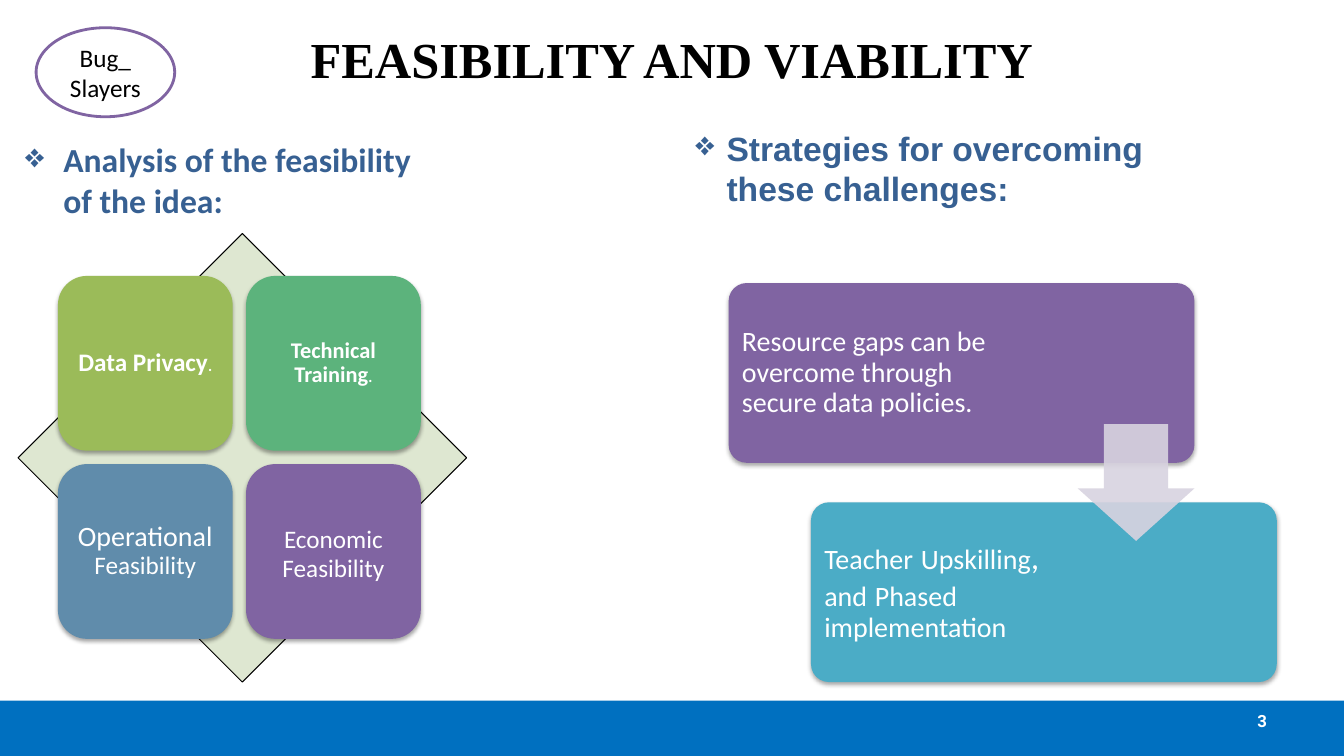
from dataclasses import dataclass

from lxml import etree
from pptx import Presentation
from pptx.dml.color import RGBColor
from pptx.enum.shapes import MSO_SHAPE
from pptx.enum.text import MSO_ANCHOR, MSO_AUTO_SIZE, PP_ALIGN
from pptx.oxml.ns import qn
from pptx.util import Inches, Pt

RECTANGLE, ROUNDED = MSO_SHAPE.RECTANGLE, MSO_SHAPE.ROUNDED_RECTANGLE
OVAL, DIAMOND, DOWN_ARROW = MSO_SHAPE.OVAL, MSO_SHAPE.DIAMOND, MSO_SHAPE.DOWN_ARROW
LEFT, CENTER, RIGHT = PP_ALIGN.LEFT, PP_ALIGN.CENTER, PP_ALIGN.RIGHT
TOP, MIDDLE = MSO_ANCHOR.TOP, MSO_ANCHOR.MIDDLE
GROW = MSO_AUTO_SIZE.SHAPE_TO_FIT_TEXT

COLUMNS, ROWS = 160, 90


@dataclass(frozen=True)
class Theme:
    white: str = "FFFFFF"
    black: str = "000000"
    gray: str = "808080"
    footer: str = "0070C0"
    heading: str = "376092"
    purple: str = "8064A2"
    olive: str = "9BBB59"
    green: str = "5CB37C"
    steel: str = "608CAB"
    teal: str = "4BACC6"
    diamond: str = "DEE7D1"
    arrow: str = "D8D3E0"
    body_font: str = "Calibri"
    title_font: str = "Times New Roman"
    heading_font: str = "Arial"
    number_font: str = "Roboto"
    title_size: float = 36
    heading_size: float = 24
    card_size: float = 20
    label_size: float = 18
    small_label_size: float = 16
    number_size: float = 12
    period_size: float = 11


def apply_formats(target, formats):
    for name, value in formats.items():
        setattr(target, name, value)


class SlideBuilder:
    """Draws elements on one slide; positions are (column, row, columns, rows)."""

    def __init__(self, presentation, theme):
        self.theme = theme
        self.cell_width = presentation.slide_width / COLUMNS
        self.cell_height = presentation.slide_height / ROWS
        self.slide = presentation.slides.add_slide(presentation.slide_layouts[6])

    def place(self, position):
        column, row, columns, rows = position
        return (round(column * self.cell_width), round(row * self.cell_height),
                round(columns * self.cell_width), round(rows * self.cell_height))

    def shape(self, kind, position, fill, line=None, adjustments=(), alpha=None):
        """Add a preset shape; line is (colour, points) and alpha a percentage."""
        shape = self.slide.shapes.add_shape(kind, *self.place(position))
        shape.shadow.inherit = False
        shape.fill.solid()
        shape.fill.fore_color.rgb = RGBColor.from_string(fill)
        if alpha is not None:
            colour = shape._element.spPr.find(".//" + qn("a:srgbClr"))
            etree.SubElement(colour, qn("a:alpha"), val=str(alpha * 1000))
        if line:
            shape.line.color.rgb = RGBColor.from_string(line[0])
            shape.line.width = Pt(line[1])
        else:
            shape.line.fill.background()
        for index, value in enumerate(adjustments):
            shape.adjustments[index] = value
        return shape

    def shadow(self, shape, colour, blur):
        """Cast a soft shadow straight down."""
        effects = shape._element.spPr.find(qn("a:effectLst"))
        outer = etree.SubElement(effects, qn("a:outerShdw"), blurRad=str(Pt(blur)),
                                 dist=str(Pt(1.8)), dir="5400000", rotWithShape="0")
        tint = etree.SubElement(outer, qn("a:srgbClr"), val=colour)
        etree.SubElement(tint, qn("a:alpha"), val="35000")

    def fill_text(self, shape, runs, colour, font, bold=False, alignment=CENTER,
                  spacing=1.0, frame_formats=None):
        """Fill a shape with one paragraph of (text, size) runs."""
        frame = shape.text_frame
        apply_formats(frame, {"word_wrap": True, "vertical_anchor": MIDDLE,
                              **(frame_formats or {})})
        paragraph = frame.paragraphs[0]
        apply_formats(paragraph, {"alignment": alignment, "line_spacing": spacing})
        for text, size in runs:
            run = paragraph.add_run()
            run.text = text
            apply_formats(run.font, {"name": font, "size": Pt(size), "bold": bold})
            run.font.color.rgb = RGBColor.from_string(colour)
        return paragraph

    def text(self, position, *arguments, **formats):
        box = self.slide.shapes.add_textbox(*self.place(position))
        return self.fill_text(box, *arguments, **formats)

    def heading(self, position, text, font, indent):
        paragraph = self.text(position, [(text, self.theme.heading_size)],
                              self.theme.heading, font, bold=True, alignment=LEFT,
                              frame_formats={"vertical_anchor": TOP, "auto_size": GROW})
        properties = paragraph._p.get_or_add_pPr()
        properties.set("marL", str(Inches(indent)))
        properties.set("indent", str(-Inches(indent)))
        etree.SubElement(properties, qn("a:buChar"), char="❖")

    def panel(self, position, fill, runs, bold=False, alignment=CENTER,
              inset=0.07, right_inset=None, adjustments=()):
        """Add a rounded, shadowed panel with white text."""
        shape = self.shape(ROUNDED, position, fill, adjustments=adjustments)
        self.shadow(shape, self.theme.black, 3.1)
        margins = {f"margin_{side}": Inches(inset) for side in ("left", "top", "right", "bottom")}
        if right_inset:
            margins["margin_right"] = Inches(right_inset)
        self.fill_text(shape, runs, self.theme.white, self.theme.body_font, bold,
                       alignment, 0.9, margins)


def draw_frame(builder, theme):
    footer = builder.shape(RECTANGLE, (0, 83.4, COLUMNS, 6.6), theme.footer)
    builder.shadow(footer, theme.gray, 0)
    builder.text((8, -0.6, 144, 15), [("FEASIBILITY AND VIABILITY", theme.title_size)],
                 theme.black, theme.title_font, bold=True)
    builder.text((114.7, 83.4, 37.3, 4.8), [("3", theme.number_size)],
                 theme.white, theme.number_font, bold=True, alignment=RIGHT)
    badge = builder.shape(OVAL, (4.3, 3.3, 16.5, 10.6), theme.white, (theme.purple, 2))
    builder.fill_text(badge, [("Bug_ Slayers", theme.label_size)], theme.black, theme.body_font)


def draw_feasibility(builder, theme):
    builder.heading((1.8, 16, 50.5, 10.9), "Analysis of the feasibility of the idea:",
                    theme.body_font, 0.38)
    builder.shape(DIAMOND, (2.15, 27.8, 53.4, 53.4), theme.diamond, (theme.black, 0.75))
    label, period = theme.label_size, (".", theme.period_size)
    tiles = [
        (theme.olive, [("Data Privacy", label), period], True),
        (theme.green, [("Technical Training", theme.small_label_size), period], True),
        (theme.steel, [("Operational ", theme.card_size), ("Feasibility", label)], False),
        (theme.purple, [("Economic", label), (" ", theme.heading_size),
                        ("Feasibility", label)], False),
    ]
    side, step = 20.8, 22.4
    for index, (fill, runs, bold) in enumerate(tiles):
        row, column = divmod(index, 2)
        builder.panel((6.9 + column * step, 32.85 + row * step, side, side), fill, runs, bold)


def draw_strategies(builder, theme):
    builder.heading((81.6, 14.6, 63.2, 14.5), "Strategies for overcoming these challenges:",
                    theme.heading_font, 0.31)
    body, gap = theme.card_size, theme.heading_size
    cards = [
        (theme.purple, 1.82, [("Resource gaps can be overcome through secure data policies.", body)]),
        (theme.teal, 2.04, [("Teacher", body), (" ", gap), ("Upskilling", body), (", ", gap),
                            ("and", body), (" ", gap), ("Phased", body), (" ", gap),
                            ("implementation", body)]),
    ]
    left, top, width, height = 86.75, 33.7, 55.45, 21.4
    for index, (fill, right_inset, runs) in enumerate(cards):
        builder.panel((left + index * 9.8, top + index * 26.1, width, height), fill, runs,
                      alignment=LEFT, inset=0.08, right_inset=right_inset, adjustments=(0.1,))
    arrow = 13.9
    builder.shape(DOWN_ARROW, (left + width - arrow, 50.5, arrow, arrow), theme.arrow,
                  adjustments=(0.55, 0.45), alpha=90)


def main():
    presentation = Presentation()
    presentation.slide_width, presentation.slide_height = Inches(13.33), Inches(7.5)
    theme = Theme()
    builder = SlideBuilder(presentation, theme)
    for draw in (draw_frame, draw_feasibility, draw_strategies):
        draw(builder, theme)
    presentation.save("out.pptx")


if __name__ == "__main__":
    main()
